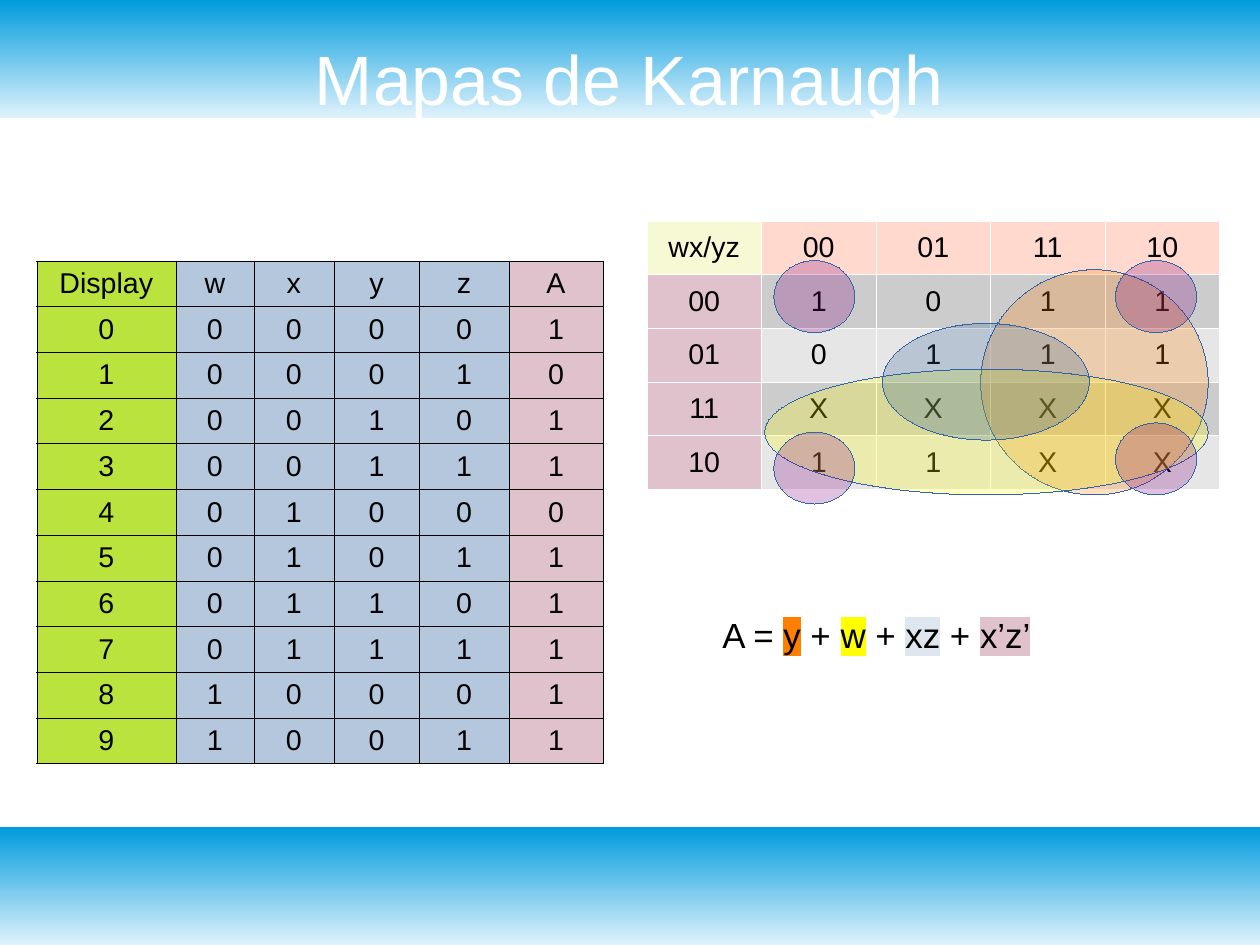
import pptx
import pptx.util
import pptx.dml.color
import pptx.enum.shapes
import pptx.enum.text
import pptx.oxml
import pptx.oxml.ns

Inches, Pt, Cm = pptx.util.Inches, pptx.util.Pt, pptx.util.Cm
RGBColor = pptx.dml.color.RGBColor
MSO_SHAPE = pptx.enum.shapes.MSO_SHAPE
MIDDLE = pptx.enum.text.MSO_ANCHOR.MIDDLE
CENTER = pptx.enum.text.PP_ALIGN.CENTER

WHITE, BLACK = RGBColor(255, 255, 255), RGBColor(0, 0, 0)
SKY, PALE_SKY = RGBColor(0x00, 0x9B, 0xDD), RGBColor(0xDF, 0xF2, 0xFC)
LIME, STEEL = RGBColor(0xBB, 0xE3, 0x3D), RGBColor(0xB4, 0xC7, 0xDC)
ROSE, PEACH = RGBColor(0xE0, 0xC2, 0xCD), RGBColor(0xFF, 0xD8, 0xCE)
CREAM, ICE = RGBColor(0xF6, 0xF9, 0xD4), RGBColor(0xDE, 0xE6, 0xEF)
GRAY, LIGHT_GRAY = RGBColor(0xCC, 0xCC, 0xCC), RGBColor(0xE6, 0xE6, 0xE6)
ORANGE, YELLOW = RGBColor(0xFF, 0x80, 0x00), RGBColor(0xFF, 0xFF, 0x00)
BLUE, PURPLE = RGBColor(0x2A, 0x60, 0x99), RGBColor(0x80, 0x00, 0x80)
OUTLINE = RGBColor(0x34, 0x65, 0xA4)

WIDTH, HEIGHT = Cm(28).inches, Cm(21).inches
BAND = 1.03


def xml(text):
    return pptx.oxml.parse_xml(text.replace(" ", f" {pptx.oxml.ns.nsdecls('a')} ", 1))


class Deck:
    """Holds the text style and the slide being filled."""

    font = {"name": "Arial", "bold": False}

    def __init__(self):
        self.prs = pptx.Presentation()
        self.prs.slide_width = Cm(28)
        self.prs.slide_height = Cm(21)
        self.s = self.prs.slides.add_slide(self.prs.slide_layouts[5])

    def run(self, p, text, size, color=BLACK, highlight=None):
        p.alignment = CENTER
        r = p.add_run()
        r.text = text
        for key, value in {**self.font, "size": Pt(size)}.items():
            setattr(r.font, key, value)
        r.font.color.rgb = color
        if highlight is not None:
            mark = xml(f'<a:highlight ><a:srgbClr val="{highlight}"/></a:highlight>')
            r.font.fill._xPr.find(pptx.oxml.ns.qn("a:solidFill")).addnext(mark)

    def shape(self, kind, box):
        sp = self.s.shapes.add_shape(kind, *map(Inches, box))
        sp.shadow.inherit = False
        return sp

    def band(self, top):
        sp = self.shape(MSO_SHAPE.RECTANGLE, (0, top, WIDTH, BAND))
        sp.line.fill.background()
        sp.fill.gradient()
        sp.fill.gradient_angle = 90
        for stop, color in zip(sp.fill.gradient_stops, (PALE_SKY, SKY)):
            stop.color.rgb = color

    def title(self, text, box):
        """Fills the title placeholder and brings it in front of the bands."""
        sp = self.s.shapes.title
        sp.element.getparent().append(sp.element)
        sp.left, sp.top, sp.width, sp.height = map(Inches, box)
        tf = sp.text_frame
        margins = dict.fromkeys(("margin_left", "margin_top", "margin_right", "margin_bottom"), 0)
        fmt = {**margins, "vertical_anchor": MIDDLE, "word_wrap": True,
               "auto_size": pptx.enum.text.MSO_AUTO_SIZE.NONE}
        for key, value in fmt.items():
            setattr(tf, key, value)
        self.run(tf.paragraphs[0], text, 44, WHITE)

    def table(self, left, top, widths, row_height, rows, fill_of, border):
        """Adds a table; fill_of(row, column) gives each cell's colour."""
        frame = self.s.shapes.add_table(len(rows), len(widths), Inches(left), Inches(top),
                                        Inches(sum(widths)), Inches(row_height * len(rows)))
        table = frame.table
        table.first_row = table.horz_banding = False
        for column, width in zip(table.columns, widths):
            column.width = Inches(width)
        for i, row in enumerate(rows):
            for j, text in enumerate(row):
                cell = table.cell(i, j)
                cell.vertical_anchor = MIDDLE
                for side in "LRTB":
                    cell._tc.get_or_add_tcPr().append(xml(
                        f'<a:ln{side} w="{Pt(0.06)}"><a:solidFill><a:srgbClr val="{border}"/>'
                        f'</a:solidFill></a:ln{side}>'))
                cell.fill.solid()
                cell.fill.fore_color.rgb = fill_of(i, j)
                self.run(cell.text_frame.paragraphs[0], text, 18)

    def group(self, color, box):
        """Draws a see-through ellipse around a group of map cells."""
        sp = self.shape(MSO_SHAPE.OVAL, box)
        sp.fill.solid()
        sp.fill.fore_color.rgb = color
        sp.fill._xPr.find(".//" + pptx.oxml.ns.qn("a:srgbClr")).append(
            xml('<a:alpha val="24000"/>'))
        sp.line.color.rgb = OUTLINE
        sp.line.width = pptx.util.Emu(1)

    def formula(self, box, parts):
        tf = self.s.shapes.add_textbox(*map(Inches, box)).text_frame
        tf.word_wrap = True
        tf.vertical_anchor = MIDDLE
        for text, highlight in parts:
            self.run(tf.paragraphs[0], text, 22, highlight=highlight)


def map_fill(i, j):
    if i == 0:
        return PEACH if j else CREAM
    if j == 0:
        return ROSE
    return GRAY if i % 2 else LIGHT_GRAY


def truth_fill(i, j):
    return {0: LIME, 5: ROSE}.get(j, STEEL)


def main():
    deck = Deck()
    for top in (0, HEIGHT - BAND):
        deck.band(top)
    deck.title("Mapas de Karnaugh", (0.55, 0.33, 9.92, 0.7))

    karnaugh = [["wx/yz", "00", "01", "11", "10"],
                ["00", *"1011"], ["01", *"0111"], ["11", *"XXXX"], ["10", *"11XX"]]
    deck.table(5.66, 1.93, [5.01 / 5] * 5, 0.47, karnaugh, map_fill, WHITE)

    segment_a = "1011011111"
    truth = [["Display", *"wxyzA"]]
    truth += [[str(n), *f"{n:04b}", a] for n, a in enumerate(segment_a)]
    deck.table(0.32, 2.28, [1.22, 0.68, 0.7, 0.75, 0.78, 0.83], 0.4, truth, truth_fill, BLACK)

    deck.group(ORANGE, (8.58, 2.36, 1.99, 1.97))
    deck.group(YELLOW, (6.69, 3.23, 3.88, 1.1))
    deck.group(BLUE, (7.72, 2.83, 1.81, 1.02))
    for left, top in ((6.77, 2.28), (9.76, 3.7), (9.76, 2.28), (6.77, 3.78)):
        deck.group(PURPLE, (left, top, 0.71, 0.63))

    deck.formula((5.98, 4.96, 3.46, 1.18), [
        ("A = ", None), ("y", ORANGE), (" + ", None), ("w", YELLOW), (" + ", None),
        ("xz", ICE), (" + ", None), ("x’z’", ROSE), (" ", None)])
    deck.prs.save("out.pptx")


if __name__ == "__main__":
    main()
